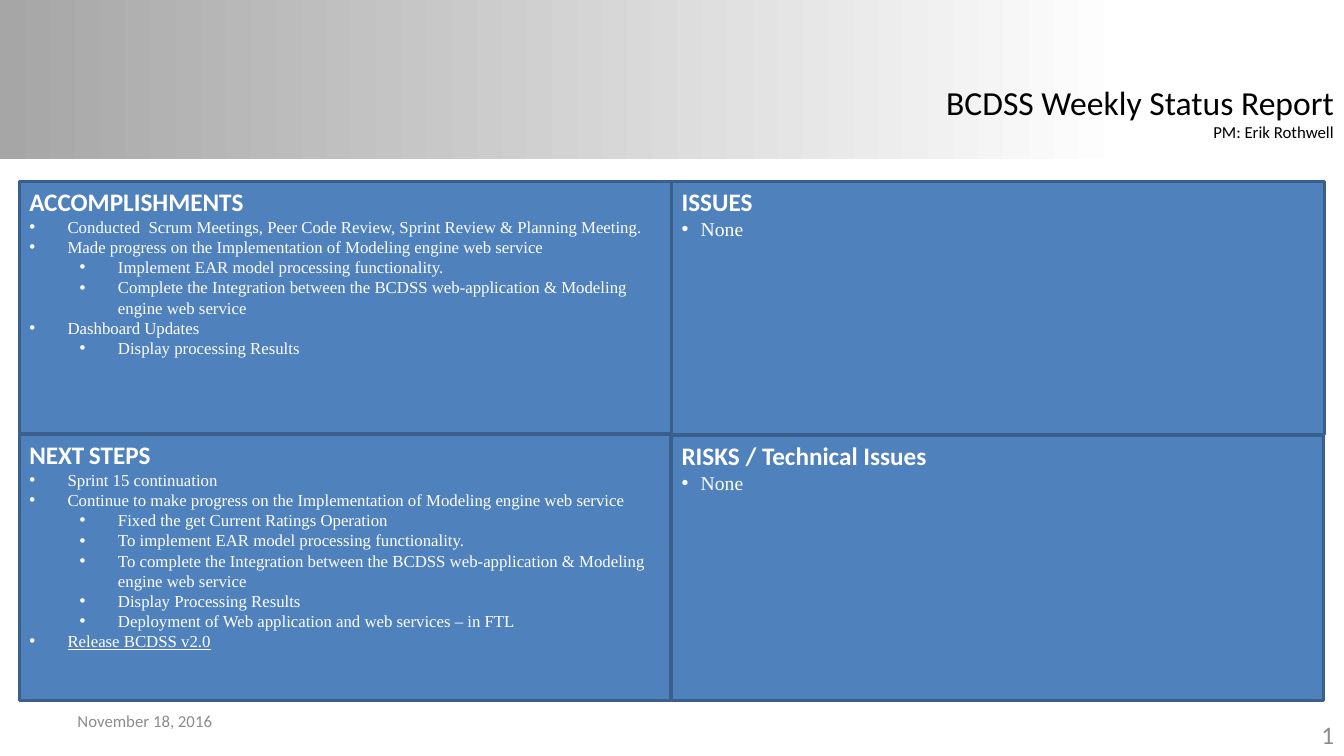
"""Build the BCDSS weekly status report slide with its four status panels."""
from dataclasses import dataclass
from typing import Any

from lxml import etree
from pptx import Presentation
from pptx import util as u
from pptx.dml.color import RGBColor
from pptx.enum import shapes, text
from pptx.oxml.ns import qn

SANS, SERIF = "Calibri", "Times New Roman"
WHITE, BLACK, GREY = "FFFFFF", "000000", "8C8C8C"
PANEL_FILL, PANEL_LINE = "4F81BD", "3A5F8C"
HEADER_STOPS = ((0, "A6A6A6"), (0.84, WHITE))
LEVEL_STEP = 0.5


@dataclass
class Item:
    text: str
    level: int = 0
    underline: bool = False


@dataclass
class Panel:
    idx: int
    box: tuple[float, float, float, float]
    heading: str
    items: list[Item]
    size: float = 12
    hang: float = 0.38
    gap_size: float = 18


PANELS = [
    Panel(1, (0.19, 1.8, 6.47, 2.5), "ACCOMPLISHMENTS", [
        Item("Conducted  Scrum Meetings, Peer Code Review, Sprint Review & Planning Meeting."),
        Item("Made progress on the Implementation of Modeling engine web service"),
        Item("Implement EAR model processing functionality.", 1),
        Item("Complete the Integration between the BCDSS web-application & Modeling "
             "engine web service", 1),
        Item("Dashboard Updates"),
        Item("Display processing Results", 1),
    ]),
    Panel(2, (0.19, 4.31, 6.46, 2.64), "NEXT STEPS", [
        Item("Sprint 15 continuation"),
        Item("Continue to make progress on the Implementation of Modeling engine web service"),
        Item("Fixed the get Current Ratings Operation", 1),
        Item("To implement EAR model processing functionality.", 1),
        Item("To complete the Integration between the BCDSS web-application & Modeling "
             "engine web service", 1),
        Item("Display Processing Results", 1),
        Item("Deployment of Web application and web services – in FTL", 1),
        Item("Release BCDSS v2.0", underline=True),
    ], gap_size=14),
    Panel(3, (6.66, 1.8, 6.48, 2.51), "ISSUES", [Item("None")], 14, 0.19),
    Panel(4, (6.66, 4.32, 6.47, 2.63), "RISKS / Technical Issues", [Item("None")], 14, 0.19),
]


def rgb(value: str) -> RGBColor:
    return RGBColor.from_string(value)


def place(sp: Any, box: tuple[float, float, float, float]) -> None:
    for name, value in zip(("left", "top", "width", "height"), box):
        setattr(sp, name, u.Inches(value))


def setup_frame(tf: Any, anchor: Any, wrap: bool = True) -> None:
    values = {"auto_size": text.MSO_AUTO_SIZE.NONE, "word_wrap": wrap,
              "vertical_anchor": anchor}
    for name, value in values.items():
        setattr(tf, name, value)


def add_run(p: Any, words: str, size: float, color: str, name: str = SANS,
            bold: bool = False, underline: bool = False) -> Any:
    r = p.add_run()
    r.text = words
    values = {"size": u.Pt(size), "name": name, "bold": bold, "underline": underline or None}
    for key, value in values.items():
        setattr(r.font, key, value)
    r.font.color.rgb = rgb(color)
    return r


def set_indent(p: Any, left: float, hang: float, bullet: bool) -> None:
    p.space_before = u.Pt(0)
    pPr = p._p.get_or_add_pPr()
    pPr.set("marL", str(u.Inches(left)))
    pPr.set("indent", str(-u.Inches(hang)))
    if bullet:
        etree.SubElement(pPr, qn("a:buFont"), typeface="Arial")
        etree.SubElement(pPr, qn("a:buChar"), char="•")
    else:
        etree.SubElement(pPr, qn("a:buNone"))


def draw_panel(sp: Any, panel: Panel) -> None:
    place(sp, panel.box)
    sp.fill.solid()
    sp.fill.fore_color.rgb = rgb(PANEL_FILL)
    sp.line.color.rgb = rgb(PANEL_LINE)
    sp.line.width = u.Pt(2)
    tf = sp.text_frame
    setup_frame(tf, text.MSO_ANCHOR.TOP)
    p = tf.paragraphs[0]
    p.alignment = text.PP_ALIGN.LEFT
    set_indent(p, 0, 0, False)
    first, gap, rest = panel.heading.partition(" ")
    for words, size in ((first, 18), (gap, panel.gap_size), (rest, 18)):
        if words:
            add_run(p, words, size, WHITE, bold=True)
    for item in panel.items:
        p = tf.add_paragraph()
        p.level = item.level
        set_indent(p, panel.hang + item.level * LEVEL_STEP, panel.hang, True)
        add_run(p, item.text, panel.size, WHITE, SERIF, underline=item.underline)


def draw_header(slide: Any) -> None:
    sp = slide.shapes.add_shape(shapes.MSO_SHAPE.RECTANGLE, 0, 0,
                                u.Inches(13.33), u.Inches(1.58))
    sp.shadow.inherit = False
    sp.line.fill.background()
    sp.fill.gradient()
    sp.fill.gradient_angle = 0
    for stop, (position, color) in zip(sp.fill.gradient_stops, HEADER_STOPS):
        stop.position = position
        stop.color.rgb = rgb(color)
    title = slide.shapes.title
    title._element.addprevious(sp._element)
    place(title, (9.25, 0.76, 4.08, 0.71))
    tf = title.text_frame
    setup_frame(tf, text.MSO_ANCHOR.TOP, wrap=False)
    for p, words, size in ((tf.paragraphs[0], "BCDSS Weekly Status Report", 24),
                           (tf.add_paragraph(), "PM: Erik Rothwell", 12)):
        p.alignment = text.PP_ALIGN.RIGHT
        add_run(p, words, size, BLACK)


def draw_footer(slide: Any, left: float, top: float, words: str, size: float,
                align: Any) -> Any:
    sp = slide.shapes.add_textbox(*map(u.Inches, (left, top, 3.11, 0.4)))
    setup_frame(sp.text_frame, text.MSO_ANCHOR.MIDDLE)
    p = sp.text_frame.paragraphs[0]
    p.alignment = align
    return add_run(p, words, size, GREY)


def make_slide_number(r: Any) -> None:
    fld = etree.Element(qn("a:fld"), id="{B6F15528-21DE-4FAA-801E-634DDDAF4B2B}",
                        type="slidenum")
    r._r.addprevious(fld)
    fld.extend(list(r._r))
    fld.getparent().remove(r._r)


def main() -> None:
    prs = Presentation()
    prs.slide_width, prs.slide_height = u.Inches(13.33), u.Inches(7.5)
    slide = prs.slides.add_slide(prs.slide_layouts.get_by_name("Comparison"))
    draw_header(slide)
    bodies = {sp.placeholder_format.idx: sp for sp in slide.placeholders}
    for panel in PANELS:
        draw_panel(bodies[panel.idx], panel)
    draw_footer(slide, 0.67, 6.95, "November 18, 2016", 12, text.PP_ALIGN.LEFT)
    make_slide_number(draw_footer(slide, 10.22, 7.09, "1", 18, text.PP_ALIGN.RIGHT))
    prs.save("out.pptx")


if __name__ == "__main__":
    main()
